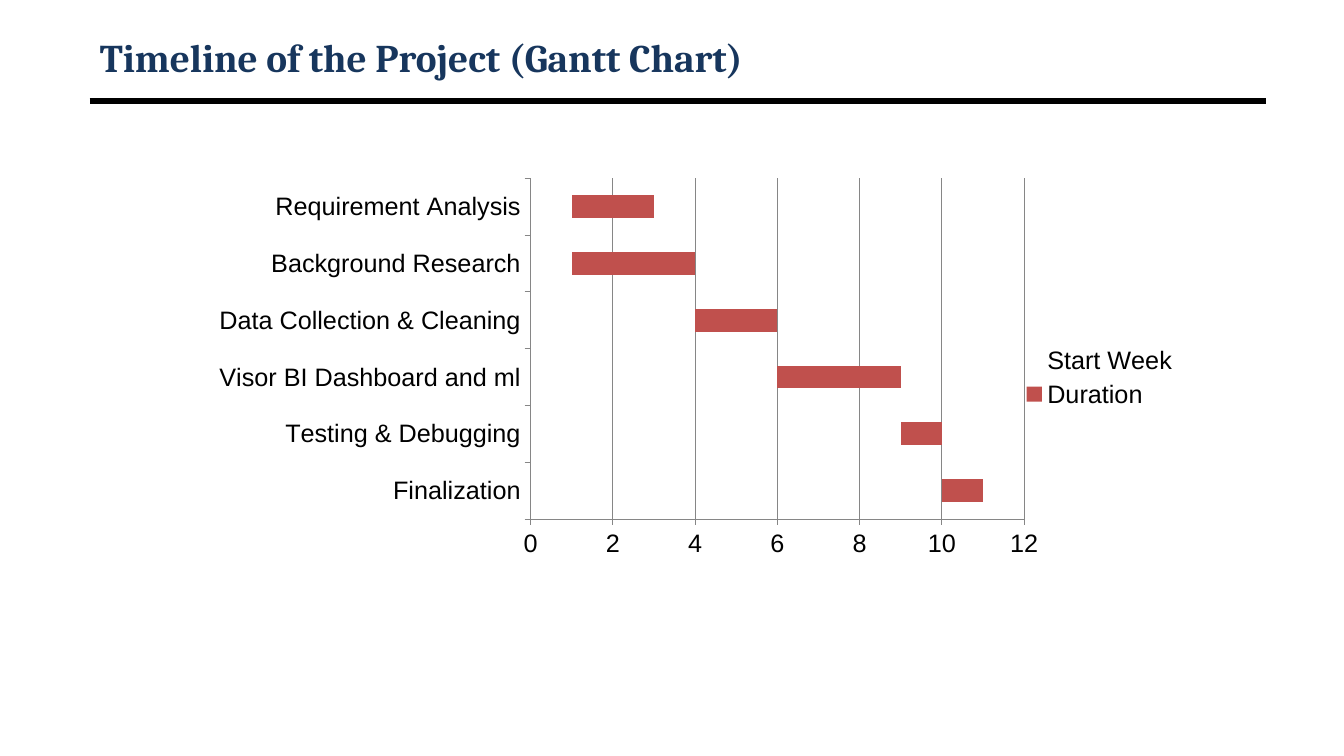
from lxml import etree
from pptx import Presentation
from pptx.chart.data import CategoryChartData
from pptx.dml.color import RGBColor
from pptx.enum.chart import XL_CHART_TYPE, XL_LEGEND_POSITION, XL_TICK_MARK
from pptx.enum.text import MSO_ANCHOR, MSO_AUTO_SIZE, PP_ALIGN
from pptx.oxml.ns import qn
from pptx.util import Inches, Pt

# Task, start week, duration in weeks
TASKS = [
    ("Requirement Analysis", 1, 2),
    ("Background Research", 1, 3),
    ("Data Collection & Cleaning", 4, 2),
    ("Visor BI Dashboard and ml", 6, 3),
    ("Testing & Debugging", 9, 1),
    ("Finalization", 10, 1),
]
BLACK, GRAY, NAVY, RED = "000000", "868686", "17365D", "C0504D"
LEFT, WIDTH = 0.89, 11.67


def color(hex_code):
    return RGBColor.from_string(hex_code)


def format_font(font, name, size, hex_code, bold=False):
    font.name, font.size, font.bold = name, Pt(size), bold
    font.color.rgb = color(hex_code)


def write_text(tf, text, align=PP_ALIGN.LEFT, anchor=MSO_ANCHOR.MIDDLE, **font):
    tf.word_wrap = True
    tf.auto_size = MSO_AUTO_SIZE.NONE
    tf.vertical_anchor = anchor
    p = tf.paragraphs[0]
    p.alignment = align
    r = p.add_run()
    r.text = text
    format_font(r.font, **font)


def add_title(s, text):
    title = s.shapes.title
    title.left, title.top = Inches(LEFT), Inches(0.3)
    title.width, title.height = Inches(WIDTH), Inches(0.53)
    write_text(title.text_frame, text, name="Cambria", size=28, hex_code=NAVY, bold=True)


def add_rule(s, y):
    rule = s.shapes.add_connector(1, Inches(LEFT), Inches(y), Inches(LEFT + WIDTH), Inches(y))
    rule.line.color.rgb = color(BLACK)
    rule.line.width = Pt(4.5)
    etree.SubElement(rule._element.spPr, qn("a:effectLst"))


def place_plot(chart, x, y, w, h):
    """Fix the inner plot area, in fractions of the chart."""
    plot_area = chart._chartSpace.chart.plotArea
    for old in plot_area.findall(qn("c:layout")):
        plot_area.remove(old)
    layout = etree.Element(qn("c:layout"))
    manual = etree.SubElement(layout, qn("c:manualLayout"))
    settings = [("layoutTarget", "inner"), ("xMode", "edge"), ("yMode", "edge"),
                ("x", x), ("y", y), ("w", w), ("h", h)]
    for tag, value in settings:
        etree.SubElement(manual, qn(f"c:{tag}")).set("val", str(value))
    plot_area.insert(0, layout)


def format_axis(axis, grid):
    axis.has_major_gridlines = grid
    axis.major_tick_mark = XL_TICK_MARK.OUTSIDE
    axis.minor_tick_mark = XL_TICK_MARK.NONE
    lines = [axis.format.line]
    if grid:
        lines.append(axis.major_gridlines.format.line)
    for line in lines:
        line.color.rgb = color(GRAY)
        line.width = Pt(0.75)


def add_gantt(s, tasks):
    names, starts, durations = zip(*reversed(tasks))
    data = CategoryChartData()
    data.categories = names
    data.add_series("Start Week", starts)
    data.add_series("Duration", durations)
    chart = s.shapes.add_chart(XL_CHART_TYPE.BAR_STACKED, Inches(1.59), Inches(1.55),
                               Inches(10.2), Inches(4.39), data).chart
    format_font(chart.font, "Arial", 18, BLACK)
    chart.has_title = False
    chart.has_legend = True
    chart.legend.position = XL_LEGEND_POSITION.RIGHT
    chart.legend.include_in_layout = False
    plot = chart.plots[0]
    plot.gap_width, plot.overlap, plot.vary_by_categories = 150, 100, False
    offset, bars = plot.series
    offset.format.fill.background()
    offset.format.line.fill.background()
    bars.format.fill.solid()
    bars.format.fill.fore_color.rgb = color(RED)
    format_axis(chart.category_axis, grid=False)
    format_axis(chart.value_axis, grid=True)
    chart.value_axis.minimum_scale = 0
    chart.value_axis.maximum_scale = 12
    chart.value_axis.major_unit = 2
    place_plot(chart, 0.36, 0.05, 0.48, 0.77)


def main():
    prs = Presentation()
    prs.slide_width, prs.slide_height = Inches(13.33), Inches(7.5)
    s = prs.slides.add_slide(prs.slide_layouts[5])
    add_rule(s, 1)
    add_title(s, "Timeline of the Project (Gantt Chart)")
    add_gantt(s, TASKS)
    prs.save("out.pptx")


if __name__ == "__main__":
    main()
